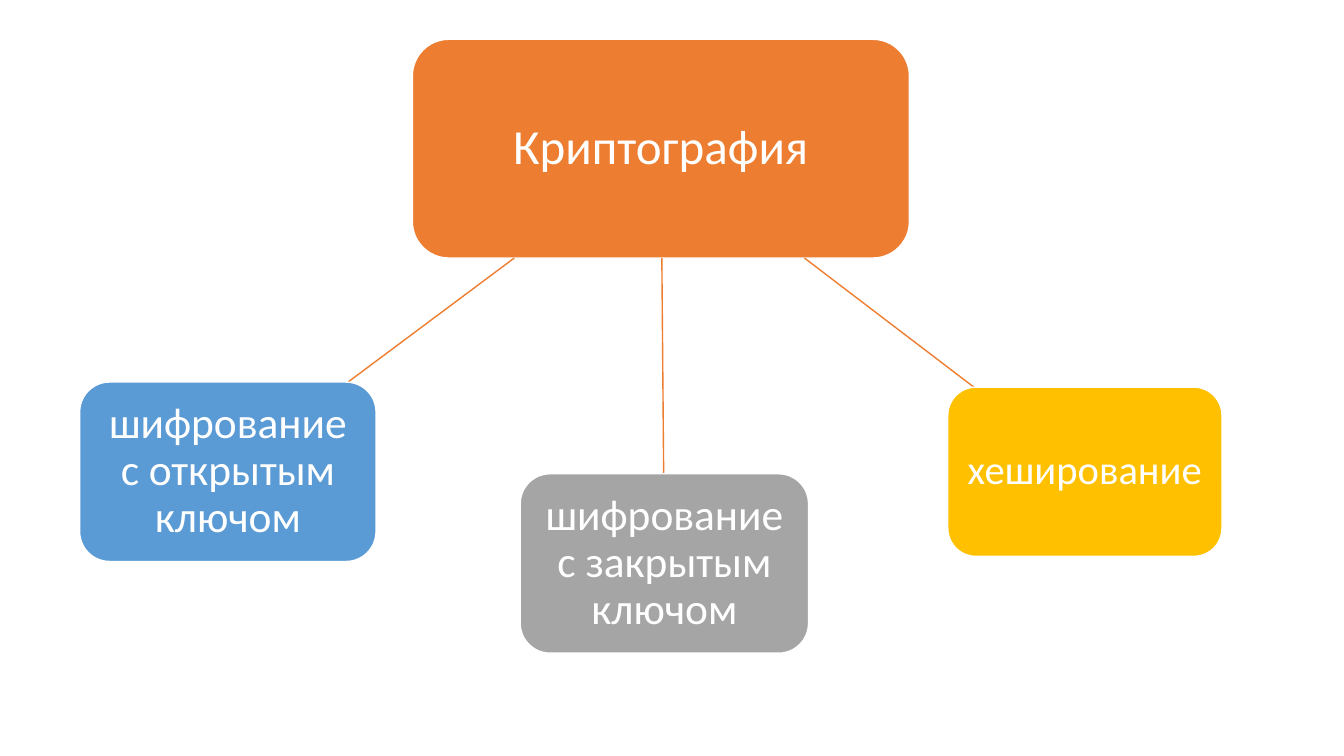
from dataclasses import dataclass

from lxml.etree import SubElement
from pptx import Presentation
from pptx.dml.color import RGBColor
from pptx.enum.shapes import MSO_CONNECTOR as Line, MSO_SHAPE as Shape
from pptx.enum.text import MSO_ANCHOR as Anchor, PP_ALIGN as Align
from pptx.oxml.ns import qn
from pptx.util import Inches, Pt


@dataclass(frozen=True)
class Theme:
    font: str = "Calibri"
    white: str = "FFFFFF"
    orange: str = "ED7D31"
    gray: str = "A5A5A5"
    gold: str = "FFC000"
    blue: str = "5B9BD5"
    root_size: int = 35
    method_size: int = 31
    hash_size: int = 29
    line_width: int = 1


theme = Theme()

cryptography = dict(text="Криптография", box=(4.09, 0.39, 4.93, 2.17),
                    fill=theme.orange, size=theme.root_size, inset=0.1)
methods = [
    dict(text="шифрование с закрытым ключом", box=(5.16, 4.7, 2.86, 1.78),
         fill=theme.gray, size=theme.method_size, inset=0.08),
    dict(text="хеширование", box=(9.4, 3.84, 2.72, 1.68),
         fill=theme.gold, size=theme.hash_size, inset=0.08),
    dict(text="шифрование с открытым ключом", box=(0.79, 3.79, 2.94, 1.78),
         fill=theme.blue, size=theme.method_size, inset=0.08),
]

deck = Presentation()
deck.slide_width, deck.slide_height = Inches(13.33), Inches(7.5)
slide = deck.slides.add_slide(deck.slide_layouts[6])


def write(frame, text, *, size, inset, color=theme.white):
    frame.word_wrap = True
    frame.vertical_anchor = Anchor.MIDDLE
    frame.margin_left = frame.margin_right = Inches(inset)
    frame.margin_top = frame.margin_bottom = Inches(inset)
    paragraph = frame.paragraphs[0]
    paragraph.alignment = Align.CENTER
    paragraph.line_spacing = 0.9
    run = paragraph.add_run()
    run.text = text
    run.font.name = theme.font
    run.font.size = Pt(size)
    run.font.color.rgb = RGBColor.from_string(color)


def add_node(text, box, fill, size, inset):
    node = slide.shapes.add_shape(Shape.ROUNDED_RECTANGLE, *map(Inches, box))
    node.shadow.inherit = False
    node.fill.solid()
    node.fill.fore_color.rgb = RGBColor.from_string(fill)
    node.line.color.rgb = RGBColor.from_string(theme.white)
    node.line.width = Pt(theme.line_width)
    write(node.text_frame, text, size=size, inset=inset)


def center(box):
    left, top, width, height = box
    return left + width / 2, top + height / 2


def add_branch(parent, child):
    (start_x, start_y), (end_x, end_y) = center(parent), center(child)
    slope = (end_x - start_x) / (end_y - start_y)
    bottom, top = parent[1] + parent[3], child[1]
    ends = (start_x + slope * (bottom - start_y), bottom,
            start_x + slope * (top - start_y), top)
    branch = slide.shapes.add_connector(Line.STRAIGHT, *map(Inches, ends))
    branch.line.color.rgb = RGBColor.from_string(theme.orange)
    branch.line.width = Pt(theme.line_width)
    SubElement(branch._element.spPr, qn("a:effectLst"))


add_node(**cryptography)
for method in methods:
    add_branch(cryptography["box"], method["box"])
    add_node(**method)

deck.save("out.pptx")
